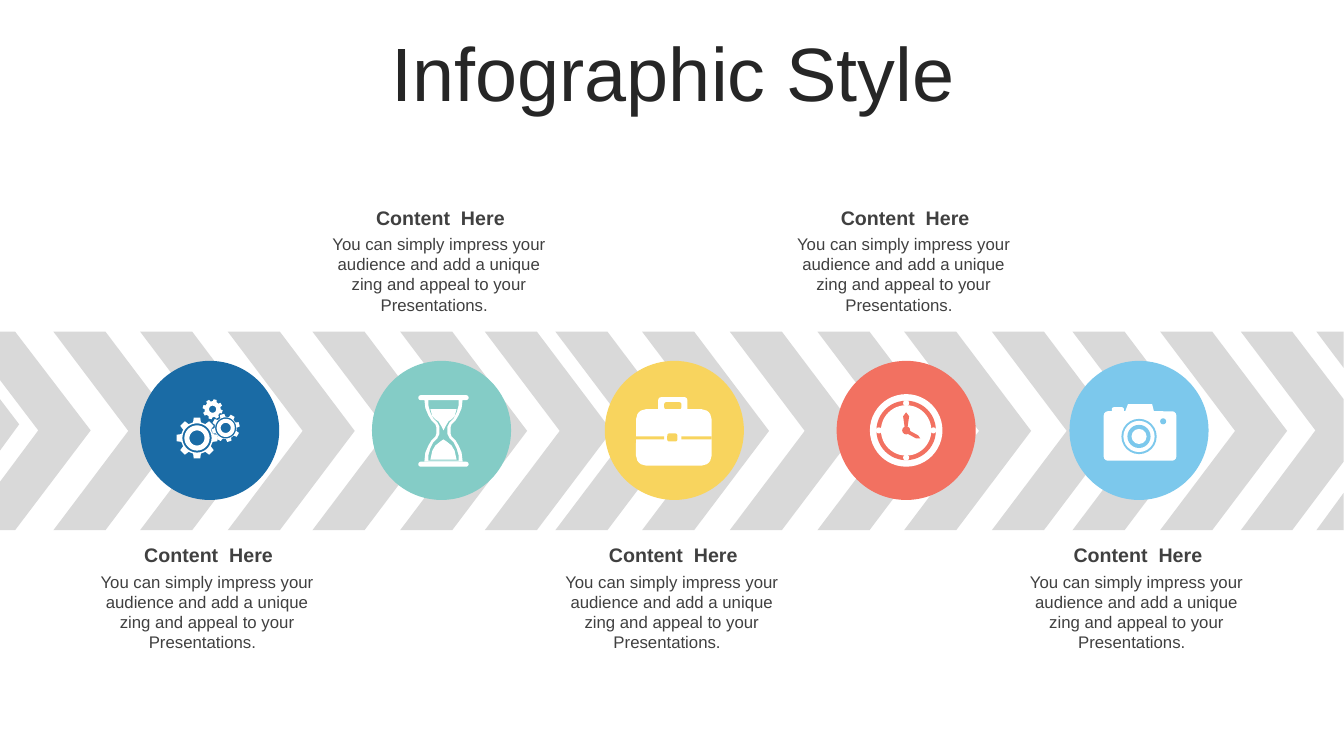
from math import cos, radians, sin

from pptx import Presentation
from pptx.dml.color import RGBColor
from pptx.enum.shapes import MSO_SHAPE
from pptx.enum.text import MSO_ANCHOR, MSO_AUTO_SIZE, PP_ALIGN
from pptx.util import Pt

# Content
TITLE = "Infographic Style"
HEADING = "Content  Here"
BODY = "You can simply impress your audience and add a unique zing and appeal to your Presentations.  "
CIRCLE_COLORS = ["1A6BA5", "84CCC6", "F8D45E", "F27161", "7CC8EC"]
WHITE, GREY, TITLE_COLOR, TEXT_COLOR = "FFFFFF", "D9D9D9", "262626", "404040"
FONT = "Arial"

# Layout in px, 100 to the inch
PX = 9144
SLIDE_WIDTH, SLIDE_HEIGHT = 1333, 750
BAND_TOP, BAND_HEIGHT, CHEVRON_WIDTH = 329, 197, 126
CHEVRON_LEFTS = [53, 139, 226, 310, 397, 481, 551, 637, 724, 811, 897, 984, 1064, 1151]
CUT_CHEVRONS = [
    [[(0, 329), (15, 329), (90, 427), (15, 526), (0, 526), (0, 478), (38, 427), (0, 377)]],
    [[(1231, 329), (1282, 329), (1333, 396), (1333, 458), (1282, 526), (1231, 526), (1305, 427)]],
    [[(1333, 489), (1333, 526), (1306, 526)], [(1306, 329), (1333, 329), (1333, 365)]],
    [[(0, 396), (19, 421), (0, 447)]],
]
CIRCLE_LEFT, CIRCLE_TOP, CIRCLE_SIZE = 139, 358, 138
TEXT_LEFT, UPPER_TEXT_TOP, LOWER_TEXT_TOP = 83, 199, 534

# Gears: center x, center y, tip radius, root radius, tilt, ring radii from outside in
GEARS = [
    (195.5, 434.5, 20.5, 16, 0, [14.5, 12.5, 7.5]),
    (224, 424.5, 14, 11, -15, [10.5, 9, 5]),
    (211, 406, 10, 8, 15, [3.5]),
]

# Hourglass: half width and height of the right-hand edges
GLASS_X, GLASS_MIDDLE = 440, 427
GLASS_OUTER = [(19, 396), (18, 405), (15, 412), (12, 417), (8, 421), (7, 424), (7, 427)]
GLASS_INNER = [(15, 397), (15, 402), (13, 409), (10, 415), (6, 419), (4, 423), (4, 427)]
UPPER_SAND = [(13, 406), (11, 413), (8, 416), (5, 418), (2, 423), (0, 427)]
LOWER_SAND = [(0, 436), (3, 438), (8, 442), (11, 447), (13, 456)]

# Briefcase: left, top, width, height, corner radius, cut out
BRIEFCASE_BARS = [
    (653, 394, 29, 16, 3, False), (659, 399, 17, 7, 2, True), (631, 406, 75, 56, 10, False),
    (631, 433, 28, 3, 0, True), (676, 433, 30, 3, 0, True), (662, 430, 10, 8, 2, True),
]

# Clock: center, dial diameters from outside in, hands
CLOCK_X, CLOCK_Y = 899, 427
DIAL_SIZES = [72, 59, 50]
CLOCK_HANDS = [
    [(899, 409), (902, 413), (900, 427), (898, 427), (896, 413)],
    [(913, 435), (909, 435), (898, 429), (900, 426), (911, 432)],
]

# Camera: body, button, viewfinder, lens diameters from outside in
CAMERA_BARS = [(1103, 404, 12, 7, 2), (1095, 408, 72, 49, 4)]
VIEWFINDER = [(1116, 409), (1119, 401), (1143, 401), (1145, 409)]
LENS_X, LENS_Y = 1130, 433
LENS_SIZES = [35, 31, 23, 15]

presentation = Presentation()
presentation.slide_width = SLIDE_WIDTH * PX + PX // 3
presentation.slide_height = SLIDE_HEIGHT * PX
slide = presentation.slides.add_slide(presentation.slide_layouts[5])


def rgb(color):
    return RGBColor.from_string(color)


def paint(shape, color):
    shape.shadow.inherit = False
    shape.fill.solid()
    shape.fill.fore_color.rgb = rgb(color)
    shape.line.fill.background()
    return shape


def add_preset(kind, left, top, width, height, color):
    box = [int(value * PX) for value in (left, top, width, height)]
    return paint(slide.shapes.add_shape(kind, *box), color)


def add_disc(center_x, center_y, size, color):
    add_preset(MSO_SHAPE.OVAL, center_x - size / 2, center_y - size / 2, size, size, color)


def add_bar(left, top, width, height, radius, color):
    bar = add_preset(MSO_SHAPE.ROUNDED_RECTANGLE, left, top, width, height, color)
    bar.adjustments[0] = radius / min(width, height)


def add_rings(center_x, center_y, sizes, colors):
    for index, size in enumerate(sizes):
        add_disc(center_x, center_y, size, colors[index % 2])


def add_outline(contours, color):
    scaled = [[(round(x * PX), round(y * PX)) for x, y in points] for points in contours]
    builder = slide.shapes.build_freeform(*scaled[0][0], scale=1.0)
    for index, points in enumerate(scaled):
        if index:
            builder.move_to(*points[0])
        builder.add_line_segments(points[1:], close=True)
    paint(builder.convert_to_shape(), color)


def mirror_sideways(edge):
    right = [(GLASS_X + half, y) for half, y in edge]
    left = [(GLASS_X - half, y) for half, y in reversed(edge)]
    return right + left


def mirror_down(edge):
    return edge + [(half, 2 * GLASS_MIDDLE - y) for half, y in reversed(edge)]


def polar_points(center_x, center_y, corners):
    return [
        (center_x + radius * sin(radians(angle)), center_y - radius * cos(radians(angle)))
        for angle, radius in corners
    ]


def gear_contours(center_x, center_y, tip, root, tilt, ring_radii):
    tooth = [(-14, root), (-9, tip), (9, tip), (14, root)]
    teeth = [(turn + tilt + offset, radius) for turn in range(0, 360, 45) for offset, radius in tooth]
    rings = [[(angle, radius) for angle in range(0, 360, 10)] for radius in ring_radii]
    return [polar_points(center_x, center_y, corners) for corners in [teeth] + rings]


def format_text(frame, text, size, color, bold=False):
    frame.word_wrap = True
    frame.text = text
    paragraph = frame.paragraphs[0]
    paragraph.alignment = PP_ALIGN.CENTER
    font = paragraph.runs[0].font
    font.name, font.size, font.bold = FONT, Pt(size), bold
    font.color.rgb = rgb(color)
    return paragraph


def add_text(left, top, width, height, text, size, bold=False):
    box = slide.shapes.add_textbox(left * PX, top * PX, width * PX, height * PX)
    format_text(box.text_frame, text, size, TEXT_COLOR, bold)
    box.text_frame.auto_size = MSO_AUTO_SIZE.SHAPE_TO_FIT_TEXT


# Title
title = slide.shapes.title
title.left, title.top, title.width, title.height = [value * PX for value in (35, 37, 1266, 79)]
title.text_frame.vertical_anchor = MSO_ANCHOR.MIDDLE
title.text_frame.auto_size = MSO_AUTO_SIZE.NONE
format_text(title.text_frame, TITLE, 54, TITLE_COLOR).line_spacing = 0.9

# Chevron band
for left in CHEVRON_LEFTS:
    chevron = add_preset(MSO_SHAPE.CHEVRON, left, BAND_TOP, CHEVRON_WIDTH, BAND_HEIGHT, GREY)
    chevron.adjustments[0] = 0.59
for contours in CUT_CHEVRONS:
    add_outline(contours, GREY)

# Circles, with texts alternating below and above
for index, color in enumerate(CIRCLE_COLORS):
    shift = 461 * index // 2
    text_top = UPPER_TEXT_TOP if index % 2 else LOWER_TEXT_TOP
    add_preset(MSO_SHAPE.OVAL, CIRCLE_LEFT + shift, CIRCLE_TOP, CIRCLE_SIZE, CIRCLE_SIZE, color)
    add_text(TEXT_LEFT + shift, text_top + 28, 245, 71, BODY, 12)
    add_text(TEXT_LEFT + shift, text_top, 248, 34, HEADING, 14, True)

blue, teal, yellow, red, sky = CIRCLE_COLORS

# Gears icon
add_outline([contour for gear in GEARS for contour in gear_contours(*gear)], WHITE)

# Hourglass icon
add_outline([mirror_sideways(mirror_down(GLASS_OUTER))], WHITE)
add_outline([mirror_sideways(mirror_down(GLASS_INNER))], teal)
for sand in (UPPER_SAND, LOWER_SAND):
    add_outline([mirror_sideways(sand)], WHITE)
for plate_top in (392, 458):
    add_bar(415, plate_top, 50, 5, 2.5, WHITE)

# Briefcase icon
for *box, cut_out in BRIEFCASE_BARS:
    add_bar(*box, yellow if cut_out else WHITE)

# Clock icon
add_rings(CLOCK_X, CLOCK_Y, DIAL_SIZES, (WHITE, red))
for step_x, step_y in [(0, -1), (1, 0), (0, 1), (-1, 0)]:
    add_disc(CLOCK_X + 27 * step_x, CLOCK_Y + 27 * step_y, 6, WHITE)
for hand in CLOCK_HANDS:
    add_outline([hand], red)
add_disc(CLOCK_X, CLOCK_Y, 8, red)

# Camera icon
for bar in CAMERA_BARS:
    add_bar(*bar, WHITE)
add_outline([VIEWFINDER], WHITE)
add_rings(LENS_X, LENS_Y, LENS_SIZES, (sky, WHITE))
add_disc(1154, 418, 6, sky)

presentation.save("out.pptx")
